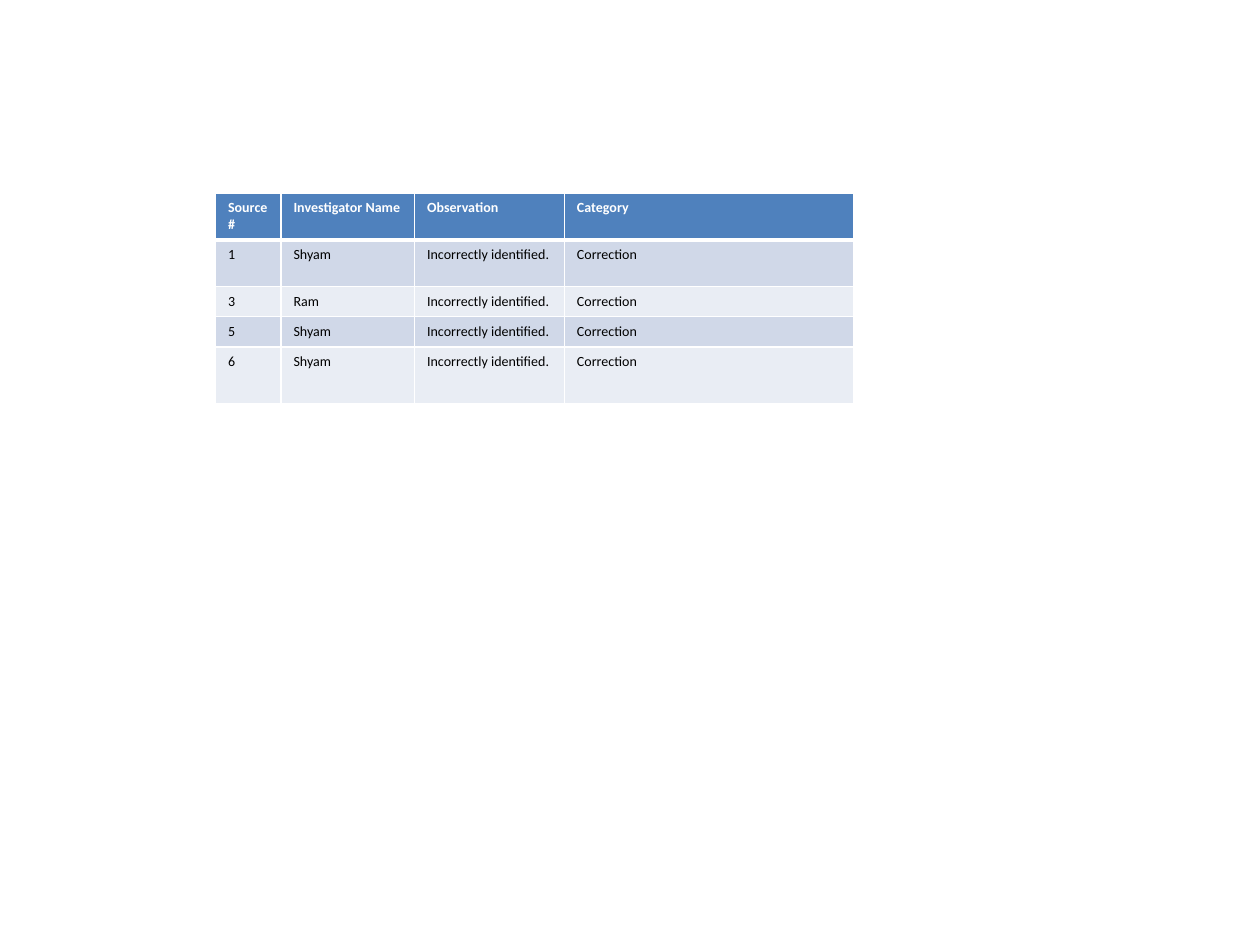
from lxml import etree
from pptx import Presentation, util as u
from pptx.dml import color
from pptx.oxml import ns

COLORS = {"header": "4F81BD", "odd": "D0D8E8", "even": "E9EDF4",
          "white": "FFFFFF", "black": "000000"}
HEADINGS = ["Source #", "Investigator Name", "Observation", "Category"]
FINDINGS = [("1", "Shyam "), ("3", "Ram"), ("5", "Shyam"), ("6", "Shyam")]
COLUMN_WIDTHS = [0.52, 1.06, 1.19, 2.3]
ROW_HEIGHTS = [0.36, 0.37, 0.24, 0.24, 0.45]


def rgb(name):
    """Return the named colour."""
    return color.RGBColor.from_string(COLORS[name])


def set_borders(cell, widths):
    """Draw white cell borders; widths map each side to points."""
    properties = cell._tc.get_or_add_tcPr()
    for side, points in widths.items():
        line = etree.SubElement(properties, ns.qn(f"a:ln{side}"), w=str(u.Pt(points)))
        fill = etree.SubElement(line, ns.qn("a:solidFill"))
        etree.SubElement(fill, ns.qn("a:srgbClr"), val=COLORS["white"])


def fill_cell(cell, wording, row):
    """Write and format one cell according to its row."""
    header = row == 0
    set_borders(cell, {"L": 1, "R": 1, "T": 3 if row == 1 else 1, "B": 3 if header else 1})
    cell.fill.solid()
    cell.fill.fore_color.rgb = rgb("header" if header else "odd" if row % 2 else "even")
    cell.text_frame.text = wording
    font = cell.text_frame.paragraphs[0].runs[0].font
    font.name = "Calibri"
    font.size = u.Pt(8)
    font.bold = header
    font.color.rgb = rgb("white" if header else "black")


def add_findings_table(page, left, top):
    """Place the findings table with its top left corner at the given point."""
    rows = [HEADINGS] + [(number, name, "Incorrectly identified.", "Correction")
                         for number, name in FINDINGS]
    table = page.shapes.add_table(
        len(rows), len(HEADINGS), u.Inches(left), u.Inches(top),
        u.Inches(sum(COLUMN_WIDTHS)), u.Inches(sum(ROW_HEIGHTS))).table
    for column, width in zip(table.columns, COLUMN_WIDTHS):
        column.width = u.Inches(width)
    for row, height in zip(table.rows, ROW_HEIGHTS):
        row.height = u.Inches(height)
    for row, wordings in enumerate(rows):
        for column, wording in enumerate(wordings):
            fill_cell(table.cell(row, column), wording, row)


deck = Presentation()
deck.slide_width, deck.slide_height = u.Inches(10), u.Inches(7.5)
page = deck.slides.add_slide(deck.slide_layouts[6])
add_findings_table(page, 1.71, 1.53)
deck.save("out.pptx")
